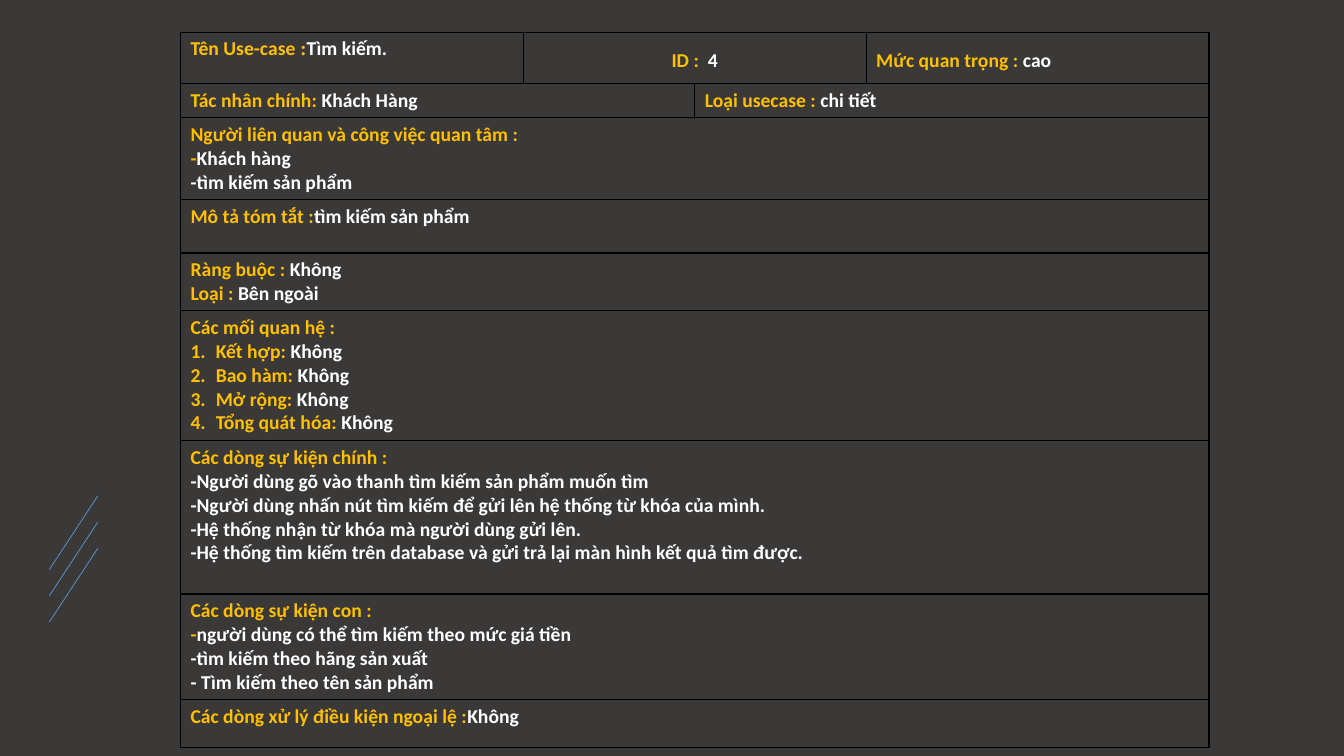
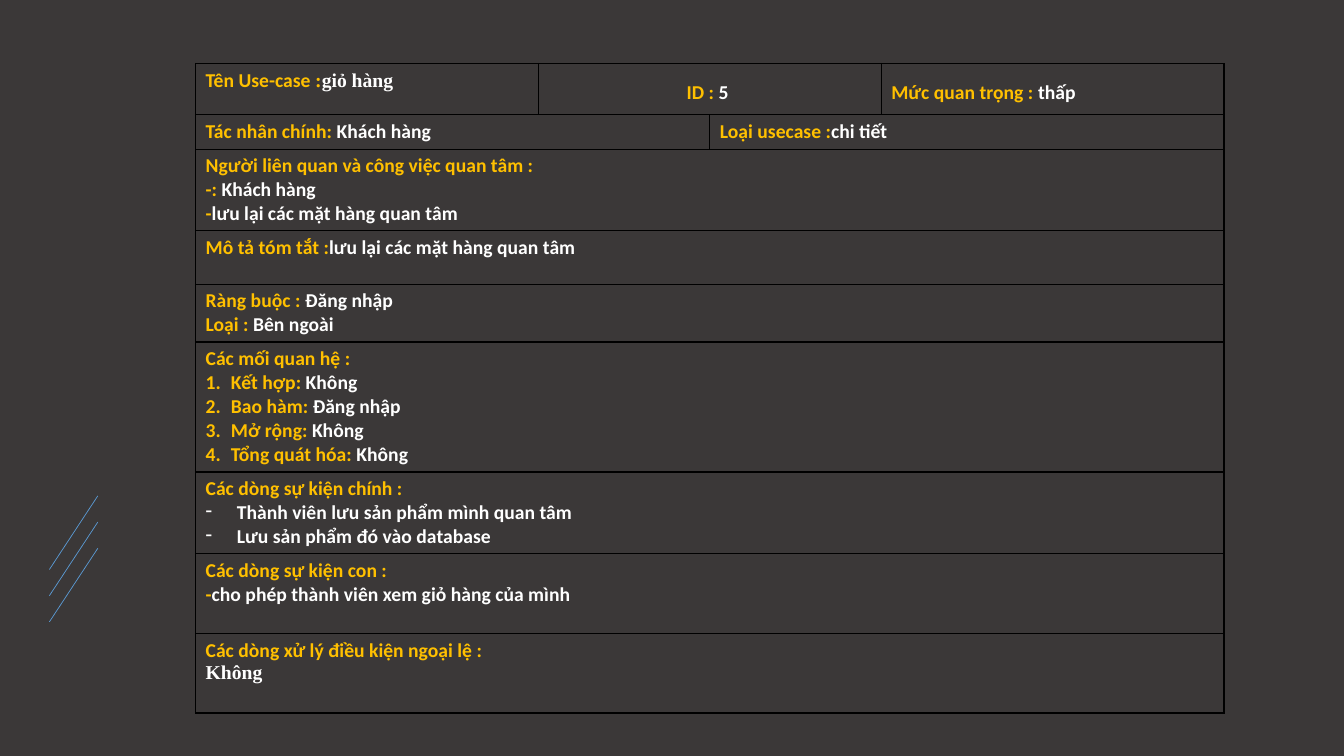
from dataclasses import dataclass
from lxml.etree import SubElement as Sub
from pptx import Presentation
from pptx.dml.color import RGBColor as Rgb
from pptx.enum.shapes import MSO_CONNECTOR as Link
from pptx.enum.text import PP_ALIGN as Align
from pptx.oxml import parse_xml
from pptx.oxml.ns import nsdecls, qn
from pptx.util import Inches, Pt


@dataclass(frozen=True)
class Theme:
    back: str = "3B3838"
    label: str = "FFC000"
    value: str = "FFFFFF"
    accent: str = "5B9BD5"
    border: str = "000000"
    sans: str = "Calibri"
    serif: str = "Times New Roman"
    size: int = 14
    edge: int = 1
    thin: float = 0.5


THEME = Theme()
COLS = (3.4, 1.7, 1.7, 3.4)
SPANS = {1: ((0, 3),), 2: ((0, 1), (2, 3)), 3: ((0, 0), (1, 2), (3, 3))}
BULLETS = {
    "#": (0.25, "buAutoNum", {"type": "arabicPeriod"}),
    "*": (0.31, "buChar", {"char": "-"}),
}

# "|" switches label and value colour, "~" switches sans and serif
FORM = (
    ("Tên Use-case ~:|{name}", "ID :{id}", "Mức quan trọng : |{level}"),
    ("Tác nhân chính: |{actor}", "Loại usecase :{kind}"),
    ("Người liên quan và công việc quan tâm :\n{people}",),
    ("Mô tả tóm tắt :|{brief}",),
    ("Ràng buộc : |{bound}\nLoại : |Bên ngoài",),
    ("Các mối quan hệ :\n#Kết hợp: |Không\n#Bao hàm: |{bound}\n"
     "#Mở rộng: |Không\n#Tổng quát hóa: |Không",),
    ("Các dòng sự kiện chính :\n{main}",),
    ("Các dòng sự kiện con :\n{sub}",),
    ("Các dòng xử lý điều kiện ngoại lệ :{error}",),
)

SEARCH = dict(
    name="Tìm kiếm.", id="  |4", level="cao",
    actor="Khách Hàng", kind=" |chi tiết",
    people="-|Khách hàng\n|-tìm kiếm sản phẩm",
    brief="tìm kiếm sản phẩm", bound="Không",
    main="|-Người dùng gõ vào thanh tìm kiếm sản phẩm muốn tìm\n"
         "|-Người dùng nhấn nút tìm kiếm để gửi lên hệ thống từ khóa của mình.\n"
         "|-Hệ thống nhận từ khóa mà người dùng gửi lên.\n"
         "|-Hệ thống tìm kiếm trên database và gửi trả lại màn hình kết quả tìm được.",
    sub="-|người dùng có thể tìm kiếm theo mức giá tiền\n"
        "|-tìm kiếm theo hãng sản xuất\n|- Tìm kiếm theo tên sản phẩm",
    error="|Không",
)

CART = dict(
    name="~giỏ hàng", id="| 5 ", level="thấp",
    actor="Khách hàng", kind="|chi tiết",
    people="-: |Khách hàng\n-|lưu lại các mặt hàng quan tâm",
    brief="lưu lại các mặt hàng quan tâm", bound="Đăng nhập",
    main="*|Thành viên lưu sản phẩm mình quan tâm\n*|Lưu sản phẩm đó vào database",
    sub="-|cho phép thành viên xem giỏ hàng của mình",
    error="\n|~Không",
)

TOP = (0.51, 0.34, 0.81, 0.53, 0.57, 1.29)
CASES = (
    (SEARCH, 1.79, 0.32, TOP + (1.52, 1.05, 0.47)),
    (CART, 1.94, 0.63, TOP + (0.81, 0.79, 0.79)),
)


def add_marks(slide, master):
    for i in range(3):
        low = 5.65 + 0.26 * i
        line = slide.shapes.add_connector(
            Link.STRAIGHT, Inches(0.49), Inches(low), Inches(0.97), Inches(low - 0.73))
        line.name = f"Mark {i + 1}"
        line.line.color.rgb = Rgb.from_string(THEME.accent)
        line.line.width = Pt(THEME.thin)
        Sub(line.element.spPr, qn("a:effectLst"))
        line.element.nvCxnSpPr.cNvPr.set("id", str(101 + i))
        master.shapes.element.append(line.element)


def add_bullet(para, mark):
    width, tag, attrs = BULLETS[mark]
    props = para._p.get_or_add_pPr()
    props.set("marL", str(Inches(width)))
    props.set("indent", str(-Inches(width)))
    Sub(props, qn(f"a:{tag}"), attrs)


def add_runs(para, text):
    if text[0] in BULLETS:
        add_bullet(para, text[0])
        text = text[1:]
    for i, part in enumerate(text.split("|")):
        for j, piece in enumerate(part.split("~")):
            if not piece:
                continue
            run = para.add_run()
            run.text = piece
            font = run.font
            font.name = THEME.serif if j else THEME.sans
            font.size = Pt(THEME.size)
            font.bold = True
            font.color.rgb = Rgb.from_string(THEME.value if i else THEME.label)


def fill_cell(cell, text):
    frame = cell.text_frame
    for i, line in enumerate(text.split("\n")):
        add_runs(frame.add_paragraph() if i else frame.paragraphs[0], line)


def set_edges(cell):
    cell.fill.background()
    props = cell._tc.get_or_add_tcPr()
    for i, side in enumerate("LRTB"):
        props.insert(i, parse_xml(
            f'<a:ln{side} {nsdecls("a")} w="{Pt(THEME.edge)}"><a:solidFill>'
            f'<a:srgbClr val="{THEME.border}"/></a:solidFill></a:ln{side}>'))


def add_form(slide, case, left, top, rows):
    table = slide.shapes.add_table(
        len(rows), len(COLS), Inches(left), Inches(top),
        Inches(sum(COLS)), Inches(sum(rows))).table
    table.first_row = table.horz_banding = False
    for col, width in zip(table.columns, COLS):
        col.width = Inches(width)
    for row, height in zip(table.rows, rows):
        row.height = Inches(height)
    for cell in table.iter_cells():
        set_edges(cell)
    for r, texts in enumerate(FORM):
        for (start, end), text in zip(SPANS[len(texts)], texts):
            cell = table.cell(r, start)
            if end > start:
                cell.merge(table.cell(r, end))
            fill_cell(cell, text.format(**case))
    for col in (1, 3):
        table.cell(0, col).text_frame.paragraphs[0].line_spacing = 1.5
    table.cell(0, 1).text_frame.paragraphs[0].alignment = Align.CENTER


def main():
    deck = Presentation()
    deck.slide_width, deck.slide_height = Inches(13.33), Inches(7.5)
    master = deck.slide_master
    back = master.background.fill
    back.solid()
    back.fore_color.rgb = Rgb.from_string(THEME.back)
    for i, case in enumerate(CASES):
        slide = deck.slides.add_slide(deck.slide_layouts[6])
        if i == 0:
            add_marks(slide, master)
        add_form(slide, *case)
    deck.save("out.pptx")


main()
